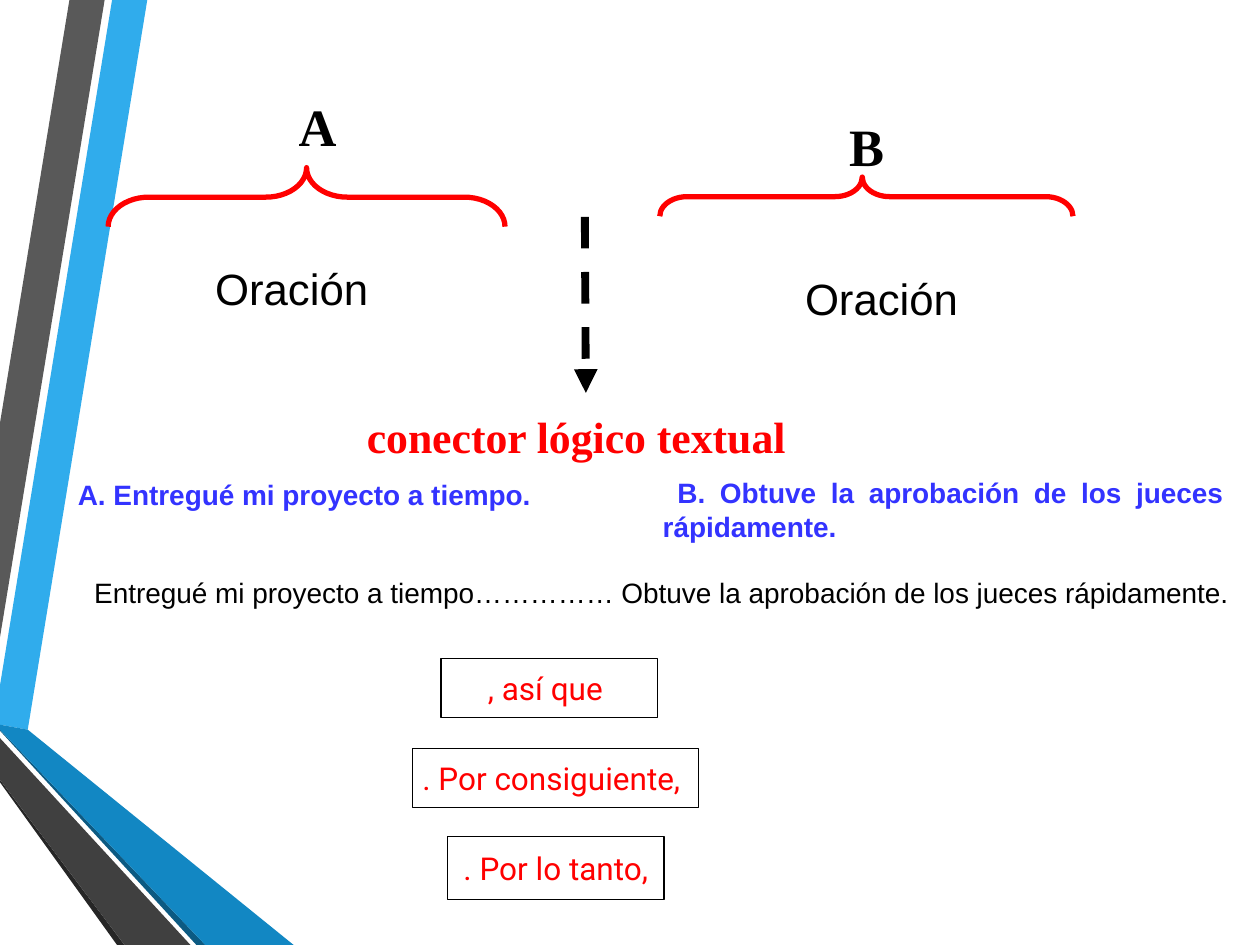
import pptx
import pptx.dml.color
import pptx.enum.dml
import pptx.enum.shapes
import pptx.enum.text
import pptx.oxml
import pptx.oxml.ns
import pptx.util

Cm, Pt = pptx.util.Cm, pptx.util.Pt
ALIGN = pptx.enum.text.PP_ALIGN
ANCHOR = pptx.enum.text.MSO_ANCHOR
SHAPE = pptx.enum.shapes.MSO_SHAPE

COLOURS = {
    "sky": "30ACEC", "grey": "595959", "charcoal": "404040", "soot": "262626",
    "blue": "1287C3", "navy": "0C5A82", "black": "000000", "white": "FFFFFF",
    "red": "FF0000", "violet": "3333FF",
}

# Corner points in hundredths of a centimetre
RIBBONS = [
    ("sky", [(0, 1382), (0, 1461), (56, 1471), (297, 0), (226, 0)]),
    ("grey", [(211, 0), (140, 0), (0, 853), (0, 1285)]),
    ("soot", [(0, 1572), (0, 1577), (236, 1905), (251, 1905)]),
    ("navy", [(0, 1471), (0, 1473), (396, 1905), (414, 1905)]),
    ("blue", [(0, 1471), (414, 1905), (592, 1905), (56, 1471), (0, 1461)]),
    ("charcoal", [(0, 1572), (251, 1905), (384, 1905), (0, 1488)]),
]

STYLES = {
    "letter": {"name": "Times New Roman", "size": Pt(30), "bold": True, "color": "black"},
    "connector": {"name": "Times New Roman", "size": Pt(25), "bold": True, "color": "red"},
    "sentence": {"name": "Arial", "size": Pt(25), "bold": False, "color": "black"},
    "example": {"name": "Arial", "size": Pt(16), "bold": True, "color": "violet"},
    "joined": {"name": "Arial", "size": Pt(16), "bold": False, "color": "black"},
    "option": {"name": "Roboto", "size": Pt(18), "bold": False, "color": "red"},
}

# Text, style, alignment, (left, top, width, height) in cm
CONNECTOR_TITLE = ("conector lógico textual", "connector", ALIGN.LEFT, (7.14, 8.13, 9.32, 1.32))
TEXTS = [
    ("A", "letter", ALIGN.LEFT, (5.77, 1.78, 1.4, 1.55)),
    ("B", "letter", ALIGN.LEFT, (16.87, 2.18, 1.57, 1.55)),
    ("Oración", "sentence", ALIGN.CENTER, (1.32, 5.16, 9.12, 1.32)),
    ("Oración", "sentence", ALIGN.CENTER, (13.11, 5.36, 9.32, 1.32)),
    ("A. Entregué mi proyecto a tiempo.", "example", ALIGN.LEFT, (1.32, 9.5, 10.11, 0.96)),
    (" B. Obtuve la aprobación de los jueces rápidamente. ", "example", ALIGN.JUSTIFY,
     (13.11, 9.47, 11.81, 1.63)),
    ("Entregué mi proyecto a tiempo…………… Obtuve la aprobación de los jueces rápidamente.",
     "joined", ALIGN.LEFT, (1.65, 11.48, 23.75, 0.94)),
]

OPTIONS = [
    (", así que ", (8.89, 13.28, 4.37, 1.19)),
    (". Por consiguiente, ", (8.31, 15.09, 5.77, 1.19)),
    (". Por lo tanto,", (9.02, 16.87, 4.37, 1.27)),
]

# Box as seen on the slide (cm), curve and tip position
BRACES = [
    ((2.18, 3.38, 8, 1.19), (0.69, 0.5)),
    ((13.3, 3.57, 8.33, 0.79), (0.7, 0.51)),
]
ARROW = (11.79, 4.37, 11.81, 7.92)


def rgb(name):
    return pptx.dml.color.RGBColor.from_string(COLOURS[name])


def cm(lengths):
    return [Cm(length) for length in lengths]


def write(shape, text, style, align, anchor=ANCHOR.TOP, wrap=True):
    frame = shape.text_frame
    frame_format = {
        "word_wrap": wrap, "vertical_anchor": anchor,
        "auto_size": pptx.enum.text.MSO_AUTO_SIZE.NONE,
    }
    for key, value in frame_format.items():
        setattr(frame, key, value)
    paragraph = frame.paragraphs[0]
    paragraph.alignment = align
    run = paragraph.add_run()
    run.text = text
    for key, value in STYLES[style].items():
        if key == "color":
            run.font.color.rgb = rgb(value)
        else:
            setattr(run.font, key, value)


def outline(shape, colour, width):
    shape.line.color.rgb = rgb(colour)
    shape.line.width = Pt(width)


def add_ribbon(shapes, colour, corners):
    builder = shapes.build_freeform(*corners[0], scale=Cm(0.01))
    builder.add_line_segments(corners[1:], close=True)
    ribbon = builder.convert_to_shape()
    ribbon.shadow.inherit = False
    ribbon.fill.solid()
    ribbon.fill.fore_color.rgb = rgb(colour)
    ribbon.line.fill.background()


def add_brace(shapes, box, curve):
    """Turn a left brace upwards so that it fills the given box."""
    left, top, width, height = box
    shift = (width - height) / 2
    brace = shapes.add_shape(SHAPE.LEFT_BRACE, *cm((left + shift, top - shift, height, width)))
    brace.rotation = 90
    brace.shadow.inherit = False
    brace.fill.background()
    outline(brace, "red", 3)
    for index, value in enumerate(curve):
        brace.adjustments[index] = value


def add_option(shapes, text, box):
    option = shapes.add_shape(SHAPE.RECTANGLE, *cm(box))
    option.shadow.inherit = False
    option.fill.solid()
    option.fill.fore_color.rgb = rgb("white")
    outline(option, "black", 0.75)
    write(option, text, "option", ALIGN.CENTER, ANCHOR.MIDDLE, wrap=False)


def add_arrow(shapes, ends):
    arrow = shapes.add_connector(pptx.enum.shapes.MSO_CONNECTOR.STRAIGHT, *cm(ends))
    outline(arrow, "black", 4.5)
    arrow.line.dash_style = pptx.enum.dml.MSO_LINE.DASH
    properties = arrow.element.spPr
    namespace = pptx.oxml.ns.nsdecls("a")
    properties.find(pptx.oxml.ns.qn("a:ln")).append(
        pptx.oxml.parse_xml(f'<a:tailEnd {namespace} type="triangle"/>'))
    properties.append(pptx.oxml.parse_xml(f"<a:effectLst {namespace}/>"))


def main():
    deck = pptx.Presentation()
    deck.slide_width, deck.slide_height = Cm(25.4), Cm(19.05)
    slide = deck.slides.add_slide(deck.slide_layouts[5])
    shapes = slide.shapes

    for colour, corners in RIBBONS:
        add_ribbon(shapes, colour, corners)
    for box, curve in BRACES:
        add_brace(shapes, box, curve)

    text, style, align, box = CONNECTOR_TITLE
    title = shapes.title
    title.left, title.top, title.width, title.height = cm(box)
    write(title, text, style, align)
    for text, style, align, box in TEXTS:
        write(shapes.add_textbox(*cm(box)), text, style, align)

    add_arrow(shapes, ARROW)
    for text, box in OPTIONS:
        add_option(shapes, text, box)
    deck.save("out.pptx")


if __name__ == "__main__":
    main()
